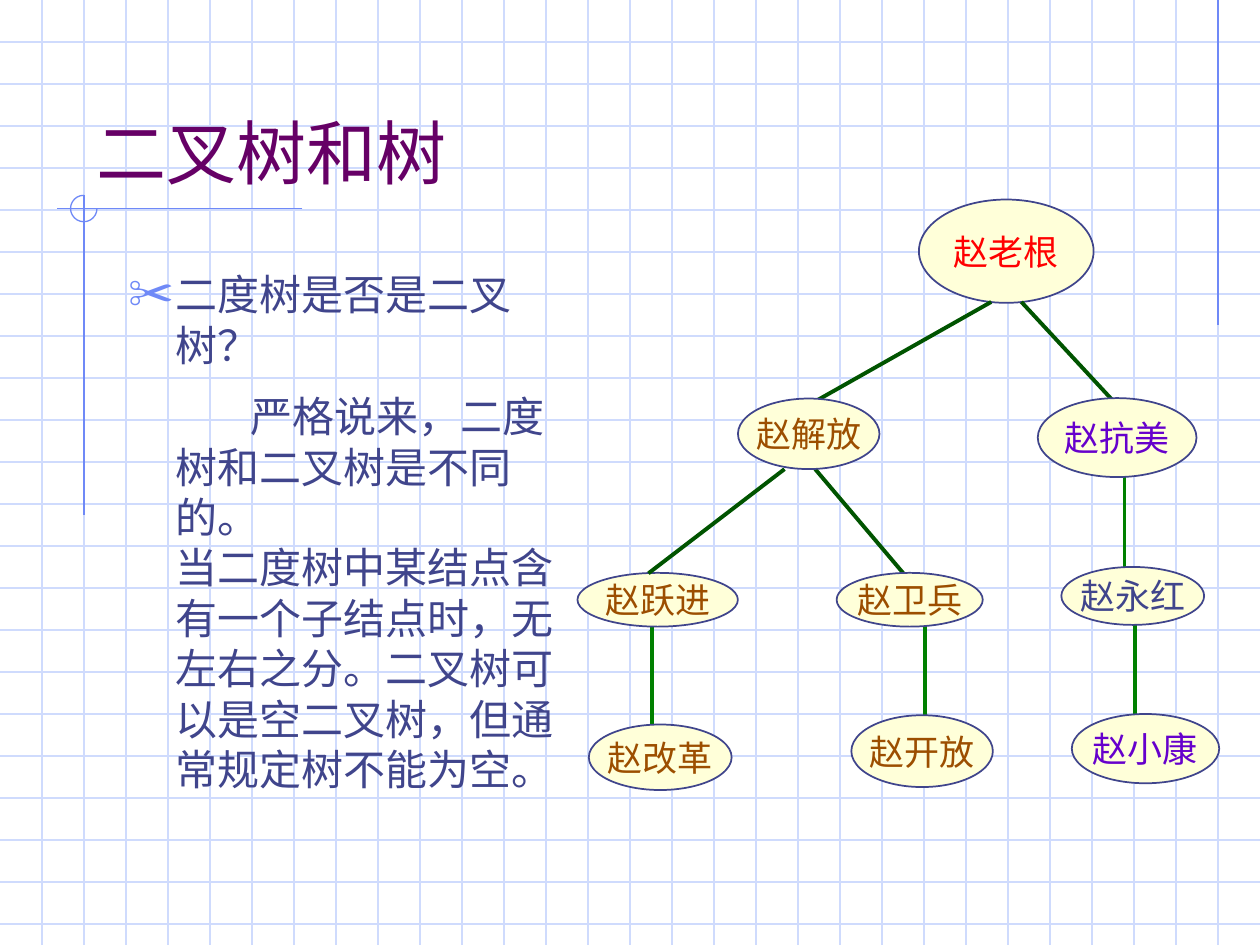
from dataclasses import dataclass

from lxml import etree
from pptx import Presentation
from pptx.dml.color import RGBColor
from pptx.enum.shapes import MSO_CONNECTOR, MSO_SHAPE
from pptx.enum.text import MSO_ANCHOR, MSO_AUTO_SIZE, PP_ALIGN
from pptx.oxml.ns import qn
from pptx.util import Inches, Pt

STRAIGHT = MSO_CONNECTOR.STRAIGHT
ELLIPSE, ARC = MSO_SHAPE.OVAL, MSO_SHAPE.ARC
LEFT, CENTER = PP_ALIGN.LEFT, PP_ALIGN.CENTER
TOP, MIDDLE, BOTTOM = MSO_ANCHOR.TOP, MSO_ANCHOR.MIDDLE, MSO_ANCHOR.BOTTOM

# The slide is ruled in square cells; every length below is counted in cells.
COLUMNS, ROWS = 30, 22.5
CELLS_PER_INCH = 3


@dataclass(frozen=True)
class Theme:
    grid: str = "CFDBFD"
    ornament: str = "6F89F7"
    title: str = "660066"
    text: str = "40458C"
    node_fill: str = "FFFFD9"
    root: str = "FF0000"
    left_family: str = "9C4E00"
    right_family: str = "6600CC"
    branch: str = "005400"
    twig: str = "008000"
    title_font: str = "Cabin"
    body_font: str = "Times New Roman"
    title_size: float = 40
    body_size: float = 24
    node_size: float = 20
    hairline: float = 0.75
    outline: float = 1
    twig_width: float = 2
    branch_width: float = 2.25


THEME = Theme()


@dataclass(frozen=True)
class Box:
    left: float
    top: float
    width: float
    height: float


@dataclass(frozen=True)
class Node:
    name: str
    color: str
    box: Box


@dataclass(frozen=True)
class Line:
    x1: float
    y1: float
    x2: float
    y2: float


@dataclass(frozen=True)
class BodyParagraph:
    text: str
    space_before: float = 0
    first_indent: float = 0
    bullet: str = ""


ORNAMENT_LINES = [
    Line(29, 0, 29, 7.74),
    Line(7.2, 4.97, 1.35, 4.97),
    Line(2, 4.65, 2, 12.27),
]
ORNAMENT_ARC = Box(1.68, 4.65, 0.63, 0.63)
TITLE_BOX = Box(2, 1, 25.5, 3.75)
BODY_BOX = Box(2.75, 6.25, 11, 13.5)
BODY_INDENT = 1.14

BODY = [
    BodyParagraph("二度树是否是二叉树？", 6, -BODY_INDENT, "✂"),
    BodyParagraph("严格说来，二度树和二叉树是不同的。", 12, 1.77),
    BodyParagraph("当二度树中某结点含有一个子结点时，无左右之分。"
                  "二叉树可以是空二叉树，但通常规定树不能为空。"),
]

TWIGS = [
    Line(27.03, 14.76, 27.03, 17.25),
    Line(26.77, 11.25, 26.77, 13.74),
    Line(15.52, 14.49, 15.52, 17.25),
    Line(22.02, 14.76, 22.02, 17.25),
]
BRANCHES = [
    Line(23.6, 7.19, 19.23, 9.66),
    Line(24.32, 7.19, 26.61, 9.66),
    Line(18.68, 11.17, 15.44, 13.65),
    Line(19.41, 11.17, 21.51, 13.65),
]
NODES_BELOW_BRANCHES = [
    Node("赵老根", THEME.root, Box(21.88, 4.75, 4.16, 2.46)),
    Node("赵跃进", THEME.left_family, Box(13.75, 13.64, 3.82, 1.28)),
    Node("赵小康", THEME.right_family, Box(25.52, 17, 3.51, 1.65)),
    Node("赵改革", THEME.left_family, Box(14.02, 17.25, 3.4, 1.56)),
    Node("赵开放", THEME.left_family, Box(20.27, 17.03, 3.37, 1.71)),
]
NODES_ABOVE_BRANCHES = [
    Node("赵解放", THEME.left_family, Box(17.57, 9.49, 3.37, 1.68)),
    Node("赵抗美", THEME.right_family, Box(24.71, 9.48, 3.78, 1.88)),
    Node("赵卫兵", THEME.left_family, Box(19.92, 13.64, 3.48, 1.28)),
    Node("赵永红", THEME.text, Box(25.27, 13.5, 3.4, 1.38)),
]


def cells(count: float) -> int:
    return Inches(count / CELLS_PER_INCH)


def corners(box: Box) -> list[int]:
    return [cells(side) for side in (box.left, box.top, box.width, box.height)]


def add_lines(slide, lines: list[Line], color: str, width: float) -> None:
    for line in lines:
        ends = [cells(end) for end in (line.x1, line.y1, line.x2, line.y2)]
        connector = slide.shapes.add_connector(STRAIGHT, *ends)
        connector.line.color.rgb = RGBColor.from_string(color)
        connector.line.width = Pt(width)
        properties = connector.element.find(qn("p:spPr"))
        etree.SubElement(properties, qn("a:effectLst"))


def add_run(paragraph, text: str, font: str, size: float, color: str) -> None:
    run = paragraph.add_run()
    run.text = text
    run.font.name = font
    run.font.size = Pt(size)
    run.font.color.rgb = RGBColor.from_string(color)


def add_grid(slide) -> None:
    rows = [Line(0, row, COLUMNS, row) for row in range(1, int(ROWS) + 1)]
    columns = [Line(column, 0, column, ROWS) for column in range(1, COLUMNS)]
    add_lines(slide, rows + columns, THEME.grid, THEME.hairline)


def add_ornament(slide) -> None:
    add_lines(slide, ORNAMENT_LINES, THEME.ornament, THEME.hairline)
    arc = slide.shapes.add_shape(ARC, *corners(ORNAMENT_ARC))
    arc.shadow.inherit = False
    arc.adjustments[0], arc.adjustments[1] = 0, 162  # from 0 to 270 degrees
    arc.fill.background()
    arc.line.color.rgb = RGBColor.from_string(THEME.ornament)
    arc.line.width = Pt(THEME.hairline)


def prepare_placeholder(placeholder, box: Box, anchor):
    """Place it in front of what is drawn so far and return its text frame."""
    placeholder.element.getparent().append(placeholder.element)
    placeholder.left, placeholder.top, placeholder.width, placeholder.height = corners(box)
    frame = placeholder.text_frame
    frame.auto_size = MSO_AUTO_SIZE.NONE
    frame.word_wrap = True
    frame.vertical_anchor = anchor
    return frame


def set_bullet(properties, bullet: str) -> None:
    if not bullet:
        etree.SubElement(properties, qn("a:buNone"))
        return
    color = etree.SubElement(properties, qn("a:buClr"))
    etree.SubElement(color, qn("a:srgbClr"), val=THEME.ornament)
    etree.SubElement(properties, qn("a:buSzPct"), val="110000")
    etree.SubElement(properties, qn("a:buChar"), char=bullet)


def fill_title(slide) -> None:
    frame = prepare_placeholder(slide.shapes.title, TITLE_BOX, BOTTOM)
    paragraph = frame.paragraphs[0]
    paragraph.alignment = LEFT
    add_run(paragraph, "二叉树和树", THEME.title_font, THEME.title_size, THEME.title)


def fill_body(slide) -> None:
    frame = prepare_placeholder(slide.placeholders[1], BODY_BOX, TOP)
    for index, item in enumerate(BODY):
        paragraph = frame.add_paragraph() if index else frame.paragraphs[0]
        paragraph.alignment = LEFT
        paragraph.space_before = Pt(item.space_before)
        properties = paragraph._p.get_or_add_pPr()
        properties.set("marL", str(cells(BODY_INDENT)))
        properties.set("indent", str(cells(item.first_indent)))
        properties.set("hangingPunct", "0")  # keep punctuation inside the margin
        set_bullet(properties, item.bullet)
        add_run(paragraph, item.text, THEME.body_font, THEME.body_size, THEME.text)


def add_nodes(slide, nodes: list[Node]) -> None:
    for node in nodes:
        shape = slide.shapes.add_shape(ELLIPSE, *corners(node.box))
        shape.shadow.inherit = False
        shape.fill.solid()
        shape.fill.fore_color.rgb = RGBColor.from_string(THEME.node_fill)
        shape.line.color.rgb = RGBColor.from_string(THEME.text)
        shape.line.width = Pt(THEME.outline)
        shape.text_frame.word_wrap = False
        shape.text_frame.vertical_anchor = MIDDLE
        paragraph = shape.text_frame.paragraphs[0]
        paragraph.alignment = CENTER
        add_run(paragraph, node.name, THEME.body_font, THEME.node_size, node.color)


def main() -> None:
    presentation = Presentation()
    presentation.slide_width, presentation.slide_height = cells(COLUMNS), cells(ROWS)
    slide = presentation.slides.add_slide(presentation.slide_layouts[1])
    add_grid(slide)
    add_ornament(slide)
    fill_title(slide)
    fill_body(slide)
    add_lines(slide, TWIGS, THEME.twig, THEME.twig_width)
    add_nodes(slide, NODES_BELOW_BRANCHES)
    add_lines(slide, BRANCHES, THEME.branch, THEME.branch_width)
    add_nodes(slide, NODES_ABOVE_BRANCHES)
    presentation.save("out.pptx")


if __name__ == "__main__":
    main()
